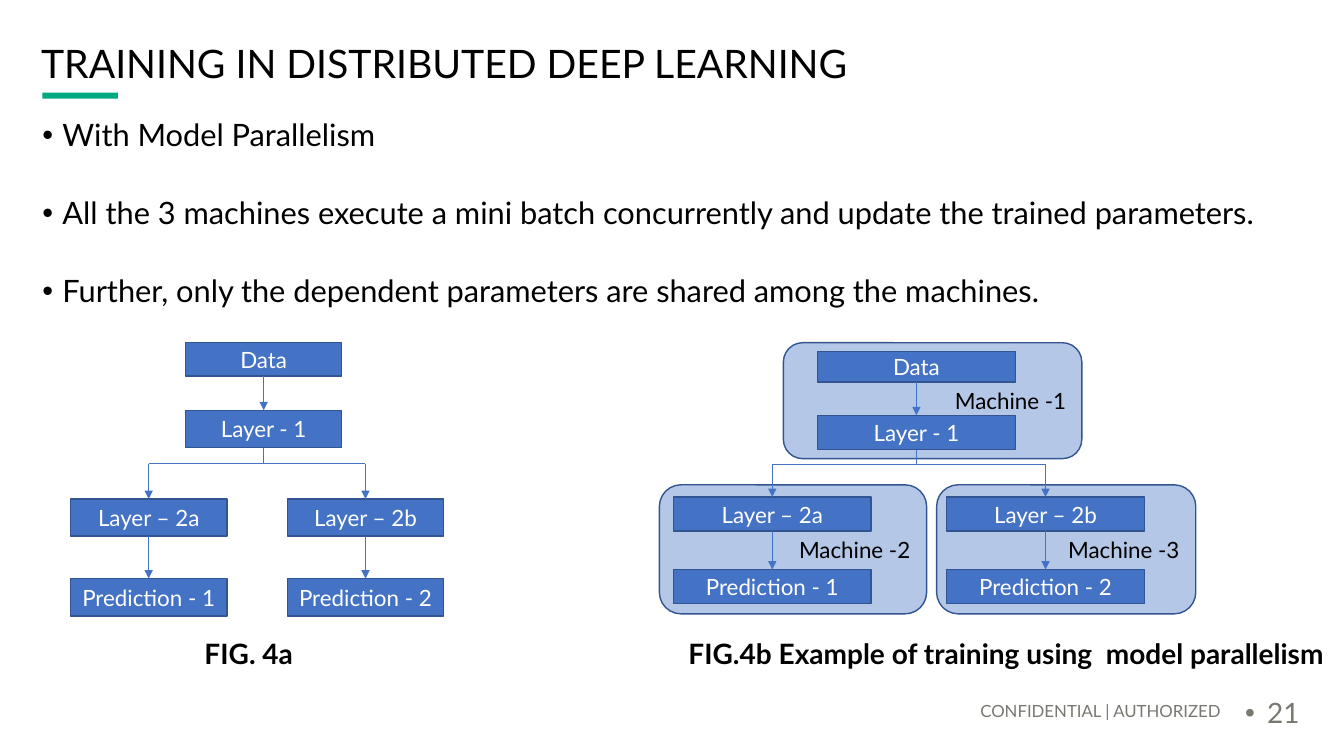
from lxml import etree
from pptx import Presentation
from pptx.dml.color import RGBColor
from pptx.enum.shapes import MSO_CONNECTOR, MSO_SHAPE
from pptx.enum.text import MSO_ANCHOR, PP_ALIGN
from pptx.oxml.ns import qn
from pptx.util import Inches, Pt

FONT = "Lato"
COLORS = {
    "accent": "01A982", "text": "000000", "muted": "787871", "white": "FFFFFF",
    "node": "4472C4", "border": "325491", "machine": "B4C7E7",
}
RECT, ROUNDED = MSO_SHAPE.RECTANGLE, MSO_SHAPE.ROUNDED_RECTANGLE
STRAIGHT = MSO_CONNECTOR.STRAIGHT
TOP, MIDDLE, BOTTOM = MSO_ANCHOR.TOP, MSO_ANCHOR.MIDDLE, MSO_ANCHOR.BOTTOM
LEFT, CENTER, RIGHT, JUSTIFY = PP_ALIGN.LEFT, PP_ALIGN.CENTER, PP_ALIGN.RIGHT, PP_ALIGN.JUSTIFY


def rgb(name):
    return RGBColor.from_string(COLORS[name])


def inches(values):
    return [Inches(value) for value in values]


def write(shape, *lines, size=16, color="text", bold=False, align=LEFT, anchor=MIDDLE,
          insets=(0.1, 0.05, 0.1, 0.05), spacing=1.0, before=0, gap=0, bullet_indent=0):
    """Fill a shape with one paragraph per line; gap is the space before later ones."""
    frame = shape.text_frame
    frame.word_wrap = True
    frame.vertical_anchor = anchor
    (frame.margin_left, frame.margin_top,
     frame.margin_right, frame.margin_bottom) = inches(insets)
    for index, line in enumerate(lines):
        para = frame.add_paragraph() if index else frame.paragraphs[0]
        para.alignment = align
        para.line_spacing = spacing
        para.space_before = Pt(gap if index else before)
        span = para.add_run()
        span.text = line
        span.font.name, span.font.size, span.font.bold = FONT, Pt(size), bold
        span.font.color.rgb = rgb(color)
        if bullet_indent:
            add_bullet(para, bullet_indent)


def add_bullet(para, indent):
    properties = para._p.get_or_add_pPr()
    properties.set("marL", str(Inches(indent)))
    properties.set("indent", str(-Inches(indent)))
    etree.SubElement(properties, qn("a:buFont")).set("typeface", "Arial")
    etree.SubElement(properties, qn("a:buChar")).set("char", "•")


def add_text(page, box, *lines, **style):
    write(page.shapes.add_textbox(*inches(box)), *lines, **style)


def add_box(shapes, kind, box, fill, line=None):
    shape = shapes.add_shape(kind, *inches(box))
    shape.shadow.inherit = False
    shape.fill.solid()
    shape.fill.fore_color.rgb = rgb(fill)
    if line:
        shape.line.color.rgb = rgb(line)
        shape.line.width = Pt(1)
    else:
        shape.line.fill.background()
    return shape


def add_line(shapes, start, end, arrow=False):
    line = shapes.add_connector(STRAIGHT, *inches(start + end))
    line.line.color.rgb = rgb("node")
    line.line.width = Pt(1)
    if arrow:
        etree.SubElement(line.line._get_or_add_ln(), qn("a:tailEnd")).set("type", "triangle")
    etree.SubElement(line._element.spPr, qn("a:effectLst"))


def draw_network(page, box, columns, rows, node_size, bus, machines=()):
    """Draw the layer tree; columns are trunk, left and right, all offsets from the box."""
    left, top = box
    width, height = node_size
    shapes = page.shapes.add_group_shape().shapes

    for label, x, y, machine_width, machine_height in machines:
        machine = add_box(shapes, ROUNDED, (left + x, top + y, machine_width, machine_height),
                          "machine", "border")
        write(machine, label, align=RIGHT)

    trunk, *branches = [left + column for column in columns]
    data, layer, split, prediction = [top + row for row in rows]
    data_height = height - 0.04
    middle = width / 2
    bus_y = top + bus

    nodes = [("Data", trunk, data, data_height), ("Layer - 1", trunk, layer, height)]
    for number, (letter, branch) in enumerate(zip("ab", branches), 1):
        nodes.append((f"Layer – 2{letter}", branch, split, height))
        nodes.append((f"Prediction - {number}", branch, prediction, height))
    for label, x, y, node_height in nodes:
        node = add_box(shapes, RECT, (x, y, width, node_height), "node", "border")
        write(node, label, color="white", align=CENTER, insets=(0, 0, 0, 0))

    arrows = [(trunk, data + data_height, layer)]
    for branch in branches:
        arrows += [(branch, bus_y, split), (branch, split + height, prediction)]
    for x, start, end in arrows:
        add_line(shapes, (x + middle, start), (x + middle, end), arrow=True)
    add_line(shapes, (branches[0] + middle, bus_y), (branches[1] + middle, bus_y))
    add_line(shapes, (trunk + middle, layer + height), (trunk + middle, bus_y))


def draw_header(page, box):
    left, top, width, height = box
    add_text(page, box, "TRAINING IN DISTRIBUTED DEEP LEARNING", size=28, spacing=0.9,
             insets=(0.1, 0, 0.1, 0))
    add_box(page.shapes, RECT, (left + 0.11, top + height + 0.05, 0.75, 0.06), "accent")


def draw_points(page, box):
    add_text(page, box,
             "With Model Parallelism",
             "All the 3 machines execute a mini batch concurrently and update the trained parameters.",
             "Further, only the dependent parameters are shared among the machines.",
             size=22, align=JUSTIFY, anchor=TOP, spacing=0.9, before=4, gap=32,
             insets=(0, 0.1, 0, 0.1), bullet_indent=0.2)


def draw_footer(page, box):
    left, top, width, height = box
    number_width = 0.75
    notice_width = width - number_width
    add_text(page, (left, top, notice_width, height), "CONFIDENTIAL | AUTHORIZED",
             size=12, color="muted", align=RIGHT, anchor=BOTTOM, spacing=0.9,
             insets=(0.1, 0, 0.14, 0))
    add_text(page, (left + notice_width, top + 0.19, number_width, 0.4), "21", size=20,
             color="muted", spacing=0.9, bullet_indent=0.22)


def draw_figures(page, top):
    draw_network(page, (0.7, top), columns=(1.14, 0, 2.15), rows=(0, 0.67, 1.55, 2.34),
                 node_size=(1.55, 0.37), bus=1.2)
    draw_network(page, (6.54, top), columns=(1.57, 0.14, 2.85), rows=(0.09, 0.72, 1.53, 2.25),
                 node_size=(1.96, 0.34), bus=1.21,
                 machines=(("Machine -2", 0, 1.41, 2.65, 1.28),
                           ("Machine -3", 2.75, 1.41, 2.57, 1.28),
                           ("Machine -1", 1.23, 0, 2.96, 1.15)))
    captions = ((1.93, "FIG. 4a"),
                (6.73, "FIG.4b Example of training using  model parallelism"))
    for left, caption in captions:
        add_text(page, (left, top + 2.87, 6.6, 0.44), caption, size=20, bold=True, anchor=TOP)


def main():
    deck = Presentation()
    deck.slide_width, deck.slide_height = Inches(13.33), Inches(7.5)
    page = deck.slides.add_slide(deck.slide_layouts[6])
    draw_header(page, (0.31, 0.43, 12.57, 0.44))
    draw_points(page, (0.42, 1.09, 12.47, 2.2))
    draw_figures(page, 3.4)
    draw_footer(page, (4.07, 6.7, 8.93, 0.45))
    deck.save("out.pptx")


if __name__ == "__main__":
    main()
